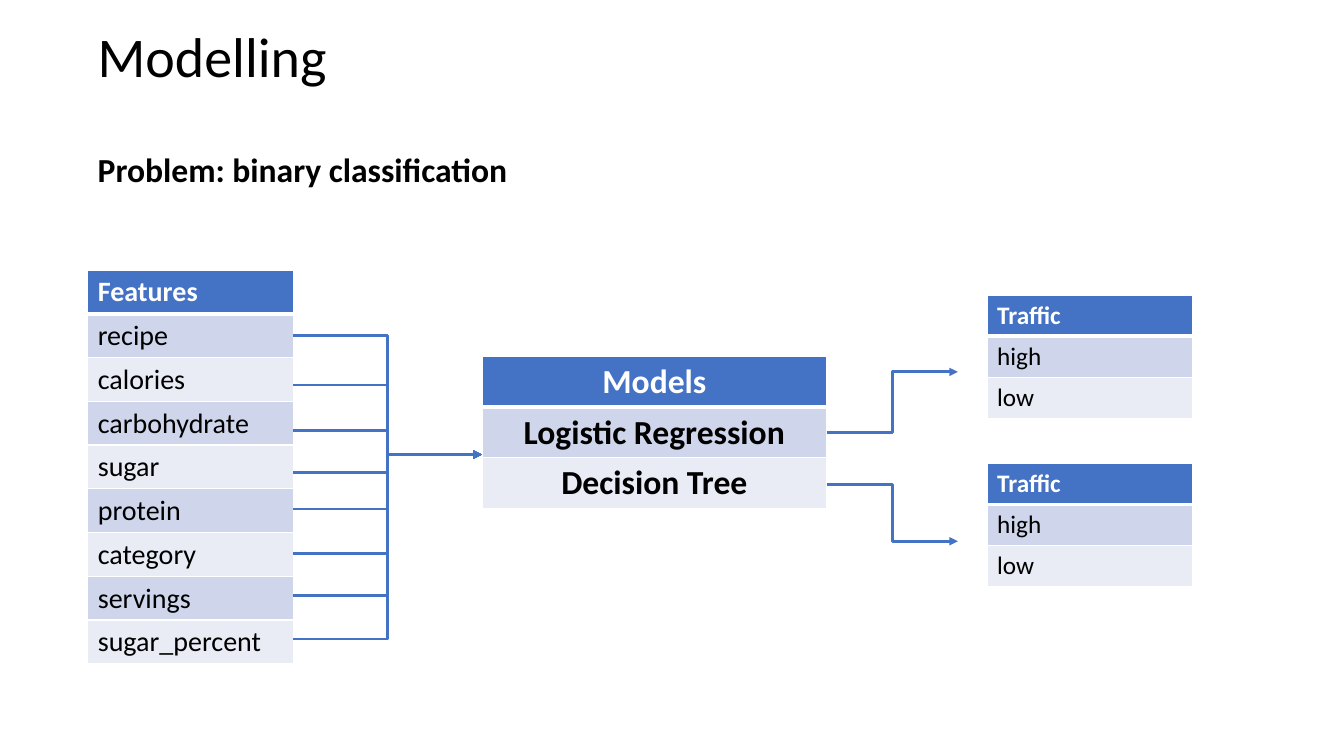
from lxml.etree import SubElement
from pptx import Presentation
from pptx.dml.color import RGBColor
from pptx.enum.shapes import MSO_CONNECTOR
from pptx.enum.text import PP_ALIGN
from pptx.oxml.ns import qn
from pptx.util import Inches, Pt

BLUE = RGBColor(0x44, 0x72, 0xC4)
DARK_BAND = RGBColor(0xCF, 0xD5, 0xEA)
LIGHT_BAND = RGBColor(0xE9, 0xEB, 0xF5)
WHITE = RGBColor(0xFF, 0xFF, 0xFF)
BLACK = RGBColor(0, 0, 0)
FONT = "Calibri"

# Column edges and row height shares of the diagram, in inches
FEATURES_LEFT, MODELS_LEFT, TRAFFIC_LEFT = 0.87, 4.78, 9.79
NARROW, WIDE = 2.04, 3.42
FEATURES_RIGHT = FEATURES_LEFT + NARROW
MODELS_RIGHT = MODELS_LEFT + WIDE
ARROW_END = 9.5
MODELS_ENTRY = 4.51

deck = Presentation()
deck.slide_width, deck.slide_height = Inches(13.33), Inches(7.5)
page = deck.slides.add_slide(deck.slide_layouts[6])


def add_list_table(left, top, width, row_height, entries, size, align, body_bold):
    """Add a one-column table whose first entry is the header."""
    count = len(entries)
    frame = page.shapes.add_table(count, 1, Inches(left), Inches(top),
                                  Inches(width), Inches(row_height * count))
    for index, entry in enumerate(entries):
        cell = frame.table.cell(index, 0)
        header = index == 0
        cell.text_frame.text = entry
        para = cell.text_frame.paragraphs[0]
        para.alignment = align
        font = para.runs[0].font
        font.name, font.size = FONT, Pt(size)
        font.bold = header or body_bold
        font.color.rgb = WHITE if header else BLACK

        properties = cell._tc.get_or_add_tcPr()
        for side in "LRTB":
            thick = (index, side) in ((0, "B"), (1, "T"))
            border = SubElement(properties, qn(f"a:ln{side}"), w=str(Pt(3 if thick else 1)))
            paint = SubElement(border, qn("a:solidFill"))
            SubElement(paint, qn("a:srgbClr"), val=str(WHITE))
        cell.fill.solid()
        cell.fill.fore_color.rgb = BLUE if header else (LIGHT_BAND, DARK_BAND)[index % 2]


def add_elbow_arrow(start_x, start_y, end_x, end_y):
    arrow = page.shapes.add_connector(MSO_CONNECTOR.ELBOW, Inches(start_x), Inches(start_y),
                                      Inches(end_x), Inches(end_y))
    arrow.line.color.rgb = BLUE
    arrow.line.width = Pt(2)
    SubElement(arrow.line._get_or_add_ln(), qn("a:tailEnd"), type="triangle")
    SubElement(arrow._element.spPr, qn("a:effectLst"))


# Headings
for text, top, width, height, size, bold in (
    ("Modelling", 0.16, 7.4, 0.77, 40, False),
    ("Problem: binary classification", 1.43, 4.38, 0.5, 24, True),
):
    box = page.shapes.add_textbox(Inches(FEATURES_LEFT), Inches(top), Inches(width), Inches(height))
    box.text_frame.word_wrap = True
    box.text_frame.text = text
    span = box.text_frame.paragraphs[0].runs[0]
    span.font.name, span.font.size, span.font.bold = FONT, Pt(size), bold
    span.font.color.rgb = BLACK

# Tables
features = ["Features", "recipe", "calories", "carbohydrate", "sugar",
            "protein", "category", "servings", "sugar_percent"]
add_list_table(FEATURES_LEFT, 2.68, NARROW, 3.9 / len(features), features, 20, PP_ALIGN.LEFT, False)
add_list_table(MODELS_LEFT, 3.54, WIDE, 0.5, ["Models", "Logistic Regression", "Decision Tree"],
               24, PP_ALIGN.CENTER, True)
for traffic_top in (2.93, 4.6):
    add_list_table(TRAFFIC_LEFT, traffic_top, NARROW, 1.22 / 3, ["Traffic", "high", "low"],
                   18, PP_ALIGN.LEFT, False)

# Every feature feeds the models, each model gives one traffic forecast
for feature_y in (3.33, 3.82, 4.27, 4.69, 5.05, 5.49, 5.91, 6.34):
    add_elbow_arrow(FEATURES_RIGHT, feature_y, MODELS_LEFT, MODELS_ENTRY)
for model_y, traffic_y in ((4.29, 3.69), (4.81, 5.37)):
    add_elbow_arrow(MODELS_RIGHT, model_y, ARROW_END, traffic_y)

deck.save("out.pptx")
